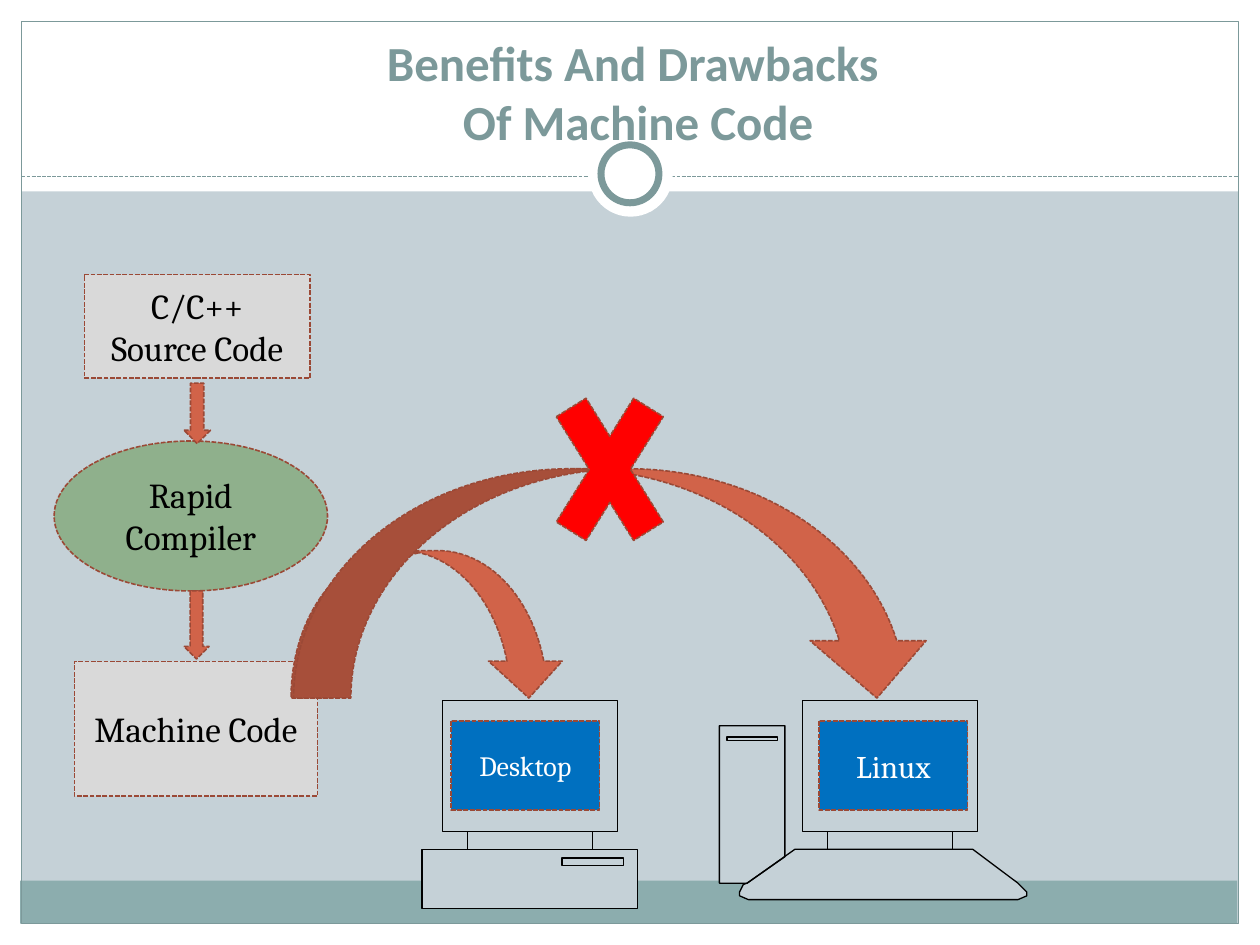
from dataclasses import dataclass
from typing import Optional

import pptx
import pptx.dml.color
import pptx.enum.dml
import pptx.enum.shapes
import pptx.enum.text
import pptx.oxml
import pptx.oxml.ns
import pptx.util

Inches = pptx.util.Inches
Pt = pptx.util.Pt
RGBColor = pptx.dml.color.RGBColor
ShapeType = pptx.enum.shapes.MSO_SHAPE
Anchor = pptx.enum.text.MSO_ANCHOR
DASH = pptx.enum.dml.MSO_LINE.SQUARE_DOT

BACKGROUND = RGBColor(0xC5, 0xD1, 0xD7)
WHITE = RGBColor(0xFF, 0xFF, 0xFF)
BLACK = RGBColor(0x00, 0x00, 0x00)
TEAL = RGBColor(0x7C, 0x99, 0x9A)
BAND = RGBColor(0x8C, 0xAD, 0xAE)
GREY = RGBColor(0xD9, 0xD9, 0xD9)
GREEN = RGBColor(0x8F, 0xB0, 0x8C)
ORANGE = RGBColor(0xD1, 0x63, 0x49)
RUST = RGBColor(0x9B, 0x49, 0x36)
RED = RGBColor(0xFF, 0x00, 0x00)
BLUE = RGBColor(0x00, 0x70, 0xC0)

Box = tuple[float, float, float, float]
Contour = list[tuple[float, float]]


@dataclass(frozen=True)
class Outline:
    color: RGBColor
    width: float
    dashed: bool = False


@dataclass(frozen=True)
class Figure:
    kind: ShapeType
    box: Box
    fill: Optional[RGBColor]
    outline: Optional[Outline] = None
    lines: tuple[str, ...] = ()
    size: float = 20
    color: RGBColor = BLACK
    adjustments: tuple[float, ...] = ()


DASHED = Outline(RUST, 0.9, True)
THIN_BLACK = Outline(BLACK, 0.75)

FRAME = [
    Figure(ShapeType.RECTANGLE, (0, 7.33, 10, 0.17), WHITE),
    Figure(ShapeType.RECTANGLE, (0, 0, 10, 1.52), WHITE),
    Figure(ShapeType.RECTANGLE, (0, 0, 0.17, 7.5), WHITE),
    Figure(ShapeType.RECTANGLE, (9.83, 0, 0.17, 7.5), WHITE),
    Figure(ShapeType.RECTANGLE, (0.16, 6.99, 9.66, 0.34), BAND),
    Figure(ShapeType.RECTANGLE, (0.17, 0.17, 9.66, 7.16), None, Outline(TEAL, 0.75)),
]
RINGS = [
    Figure(ShapeType.OVAL, (4.67, 1.05, 0.67, 0.67), WHITE),
    Figure(ShapeType.OVAL, (4.77, 1.15, 0.46, 0.46), WHITE, Outline(TEAL, 4)),
]
FLOW = [
    Figure(ShapeType.RECTANGLE, (0.67, 2.18, 1.79, 0.82), GREY, DASHED, ("C/C++", "Source Code")),
    Figure(ShapeType.RECTANGLE, (0.59, 5.25, 1.93, 1.07), GREY, DASHED, ("Machine Code",)),
    Figure(ShapeType.OVAL, (0.43, 3.5, 2.17, 1.19), GREEN, DASHED, ("Rapid", "Compiler")),
    Figure(ShapeType.DOWN_ARROW, (1.46, 3.04, 0.21, 0.48), ORANGE, DASHED),
    Figure(ShapeType.DOWN_ARROW, (1.46, 4.69, 0.2, 0.54), ORANGE, DASHED),
    Figure(ShapeType.CURVED_DOWN_ARROW, (2.31, 4.37, 2.18, 1.17), ORANGE, DASHED),
    Figure(ShapeType.CURVED_DOWN_ARROW, (2.33, 3.72, 5.09, 1.82), ORANGE, DASHED,
           adjustments=(0.25, 0.506, 0.25)),
    Figure(ShapeType.MATH_MULTIPLY, (4.25, 2.78, 1.18, 1.89), RED, DASHED),
]
DESKTOP_SCREEN = Figure(ShapeType.RECTANGLE, (3.58, 5.72, 1.18, 0.71), BLUE, DASHED,
                        ("Desktop",), 16, WHITE)
LINUX_SCREEN = Figure(ShapeType.RECTANGLE, (6.5, 5.72, 1.18, 0.71), BLUE, DASHED,
                      ("Linux",), 18, WHITE)


def rectangle(left: float, top: float, right: float, bottom: float) -> Contour:
    return [(left, top), (right, top), (right, bottom), (left, bottom)]


def monitor(left: float) -> list[Contour]:
    return [
        rectangle(left, 5.56, left + 1.39, 6.6),
        rectangle(left + 0.2, 6.6, left + 1.19, 6.74),
    ]


DESKTOP_COMPUTER = monitor(3.51) + [
    rectangle(3.35, 6.74, 5.06, 7.21),
    rectangle(4.46, 6.81, 4.95, 6.87),
]
TOWER = [(5.71, 5.76), (6.23, 5.76), (6.23, 6.8), (5.93, 7.01), (5.71, 7.01)]
KEYBOARD = [
    (6.31, 6.74), (7.72, 6.74), (8.08, 7.01), (8.12, 7.05), (8.15, 7.08), (8.15, 7.11),
    (8.08, 7.14), (5.94, 7.14), (5.87, 7.11), (5.87, 7.08), (5.9, 7.02), (5.93, 7.01),
]
LINUX_COMPUTER = monitor(6.37) + [TOWER, KEYBOARD, rectangle(5.77, 5.85, 6.17, 5.88)]


def style_line(line, outline: Optional[Outline]) -> None:
    if outline is None:
        line.fill.background()
        return
    line.color.rgb = outline.color
    line.width = Pt(outline.width)
    if outline.dashed:
        line.dash_style = DASH


def style_shape(shape, fill: Optional[RGBColor], outline: Optional[Outline]) -> None:
    shape.shadow.inherit = False
    if fill is None:
        shape.fill.background()
    else:
        shape.fill.solid()
        shape.fill.fore_color.rgb = fill
    style_line(shape.line, outline)


def add_run(paragraph, text: str, font_name: str, size: float, color: RGBColor,
            bold: bool = False) -> None:
    run = paragraph.add_run()
    run.text = text
    run.font.name = font_name
    run.font.size = Pt(size)
    run.font.bold = bold
    run.font.color.rgb = color


def draw_figure(slide, figure: Figure) -> None:
    shape = slide.shapes.add_shape(figure.kind, *map(Inches, figure.box))
    style_shape(shape, figure.fill, figure.outline)
    for index, value in enumerate(figure.adjustments):
        shape.adjustments[index] = value
    frame = shape.text_frame
    frame.vertical_anchor = Anchor.MIDDLE
    for index, text in enumerate(figure.lines):
        paragraph = frame.add_paragraph() if index else frame.paragraphs[0]
        paragraph.alignment = pptx.enum.text.PP_ALIGN.CENTER
        add_run(paragraph, text, "Cambria", figure.size, figure.color)


def draw_computer(slide, contours: list[Contour]) -> None:
    scaled = [[(Inches(x), Inches(y)) for x, y in contour] for contour in contours]
    builder = slide.shapes.build_freeform(*scaled[0][0])
    builder.add_line_segments(scaled[0][1:], close=True)
    for contour in scaled[1:]:
        builder.move_to(*contour[0])
        builder.add_line_segments(contour[1:], close=True)
    style_shape(builder.convert_to_shape(), BACKGROUND, THIN_BLACK)


def draw_divider(slide) -> None:
    connector = slide.shapes.add_connector(
        pptx.enum.shapes.MSO_CONNECTOR.STRAIGHT,
        Inches(0.17), Inches(1.4), Inches(9.83), Inches(1.4))
    style_line(connector.line, Outline(TEAL, 0.75, True))
    properties = connector._element.spPr
    properties.append(pptx.oxml.parse_xml(f"<a:effectLst {pptx.oxml.ns.nsdecls('a')}/>"))


def draw_title(slide) -> None:
    frame = slide.shapes.add_textbox(
        Inches(0.98), Inches(0.29), Inches(8.17), Inches(0.95)).text_frame
    frame.word_wrap = True
    frame.vertical_anchor = Anchor.BOTTOM
    paragraph = frame.paragraphs[0]
    paragraph.alignment = pptx.enum.text.PP_ALIGN.CENTER
    add_run(paragraph, "Benefits And Drawbacks ", "Calibri", 28, TEAL, True)
    paragraph.add_line_break()
    add_run(paragraph, "Of Machine Code", "Calibri", 28, TEAL, True)


def main() -> None:
    presentation = pptx.Presentation()
    presentation.slide_width = Inches(10)
    presentation.slide_height = Inches(7.5)
    slide = presentation.slides.add_slide(presentation.slide_layouts[6])
    slide.background.fill.solid()
    slide.background.fill.fore_color.rgb = BACKGROUND
    for figure in FRAME:
        draw_figure(slide, figure)
    draw_divider(slide)
    for figure in RINGS:
        draw_figure(slide, figure)
    draw_title(slide)
    for figure in FLOW:
        draw_figure(slide, figure)
    for computer, screen in ((DESKTOP_COMPUTER, DESKTOP_SCREEN), (LINUX_COMPUTER, LINUX_SCREEN)):
        draw_computer(slide, computer)
        draw_figure(slide, screen)
    presentation.save("out.pptx")


if __name__ == "__main__":
    main()
